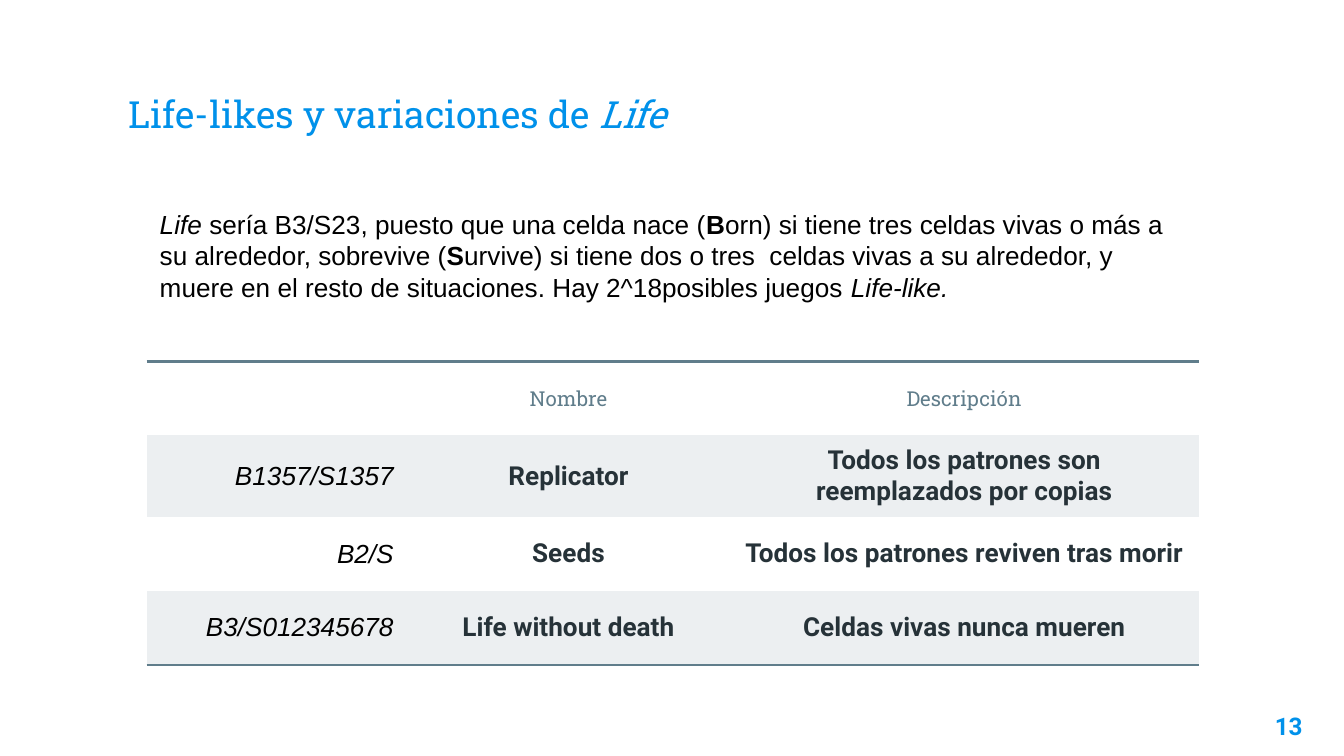
from lxml.etree import SubElement
from pptx import Presentation
from pptx.dml.color import RGBColor
from pptx.enum.text import MSO_ANCHOR as ANCHOR, PP_ALIGN as ALIGN
from pptx.oxml.ns import qn
from pptx.util import Inches, Pt

COLORS = {"blue": "0091EA", "slate": "607D8B", "ink": "263238",
          "black": "000000", "band": "ECEFF1"}

# Content: each run is (text, style changes)
ITALIC, BOLD = {"italic": True}, {"bold": True}
TITLE = [("Life-likes y variaciones de ", {}), ("Life", ITALIC)]
BODY = [
    ("Life", ITALIC),
    (" sería B3/S23, puesto que una celda nace (", {}),
    ("B", BOLD),
    ("orn) si tiene tres celdas vivas o más a su alrededor, sobrevive (", {}),
    ("S", BOLD),
    ("urvive) si tiene dos o tres  celdas vivas a su alrededor, y muere en "
     "el resto de situaciones. Hay 2^18posibles juegos ", {}),
    ("Life-like.", ITALIC),
]
PAGE = [("13", {})]
ROWS = [
    ("", "Nombre", "Descripción"),
    ("B1357/S1357", "Replicator", "Todos los patrones son reemplazados por copias"),
    ("B2/S", "Seeds", "Todos los patrones reviven tras morir"),
    ("B3/S012345678", "Life without death", "Celdas vivas nunca mueren"),
]
COL_WIDTHS = (1.94, 2.4, 3.49)
ROW_HEIGHT = 0.55

# Text styles
STYLES = {
    "title": {"name": "Roboto Slab", "size": 20, "color": "blue"},
    "body": {"name": "Arial", "size": 14, "color": "black"},
    "page": {"name": "Roboto", "size": 13, "color": "blue", "bold": True},
    "header": {"name": "Roboto Slab", "size": 11, "color": "slate"},
    "rule": {"name": "Arial", "size": 14, "color": "black", "italic": True},
    "cell": {"name": "Roboto", "size": 14, "color": "ink", "bold": True},
}
NO_STYLE = "{2D5ABB26-0587-4C30-8999-92F81FD0307C}"


def rgb(name):
    return RGBColor.from_string(COLORS[name])


def add_runs(p, runs, style, align):
    p.alignment = align
    for text, changes in runs:
        r = p.add_run()
        r.text = text
        for key, value in {**STYLES[style], **changes}.items():
            if key == "color":
                r.font.color.rgb = rgb(value)
            else:
                setattr(r.font, key, Pt(value) if key == "size" else value)


def add_text(slide, box, runs, style, align=ALIGN.LEFT, anchor=ANCHOR.TOP, inset=(0.1, 0.1)):
    tf = slide.shapes.add_textbox(*map(Inches, box)).text_frame
    tf.word_wrap = True
    tf.vertical_anchor = anchor
    tf.margin_left = tf.margin_right = Inches(inset[0])
    tf.margin_top = tf.margin_bottom = Inches(inset[1])
    add_runs(tf.paragraphs[0], runs, style, align)


def add_border(cell, side):
    tc_pr = cell._tc.get_or_add_tcPr()
    ln = SubElement(tc_pr, qn("a:" + side), w=str(Pt(1.5)))
    fill = SubElement(ln, qn("a:solidFill"))
    SubElement(fill, qn("a:srgbClr"), val=COLORS["slate"])
    tc_pr.insert(0, ln)


# Widescreen 16:9 slide
prs = Presentation()
prs.slide_width = Inches(10)
prs.slide_height = prs.slide_width * 9 // 16
s = prs.slides.add_slide(prs.slide_layouts[6])

# Title
add_text(s, (0.86, 0.34, 8.28, 0.77), TITLE, "title", anchor=ANCHOR.BOTTOM)

# Table of rules
frame = s.shapes.add_table(
    len(ROWS), len(COL_WIDTHS), Inches(1.09), Inches(2.69),
    Inches(sum(COL_WIDTHS)), Inches(ROW_HEIGHT * len(ROWS)))
table = frame.table
table.first_row = table.horz_banding = False
table._tbl.tblPr.find(qn("a:tableStyleId")).text = NO_STYLE
for column, width in zip(table.columns, COL_WIDTHS):
    column.width = Inches(width)
for i, row in enumerate(ROWS):
    table.rows[i].height = Inches(ROW_HEIGHT)
    for j, text in enumerate(row):
        cell = table.cell(i, j)
        cell.vertical_anchor = ANCHOR.MIDDLE
        cell.margin_left = cell.margin_right = Inches(0.1)
        cell.margin_top = cell.margin_bottom = Inches(0.07)
        if i % 2:
            cell.fill.solid()
            cell.fill.fore_color.rgb = rgb("band")
        else:
            cell.fill.background()
        if i == 0:
            add_border(cell, "lnT")
        if i == len(ROWS) - 1:
            add_border(cell, "lnB")
        style = "header" if i == 0 else "cell" if j else "rule"
        if text:
            add_runs(cell.text_frame.paragraphs[0], [(text, {})], style,
                     ALIGN.CENTER if j else ALIGN.RIGHT)

# Page number
add_text(s, (9.19, 5.19, 0.6, 0.43), PAGE, "page", align=ALIGN.RIGHT)

# Explanation
add_text(s, (1.09, 1.5, 7.72, 0.81), BODY, "body", inset=(0.1, 0.05))

prs.save("out.pptx")
